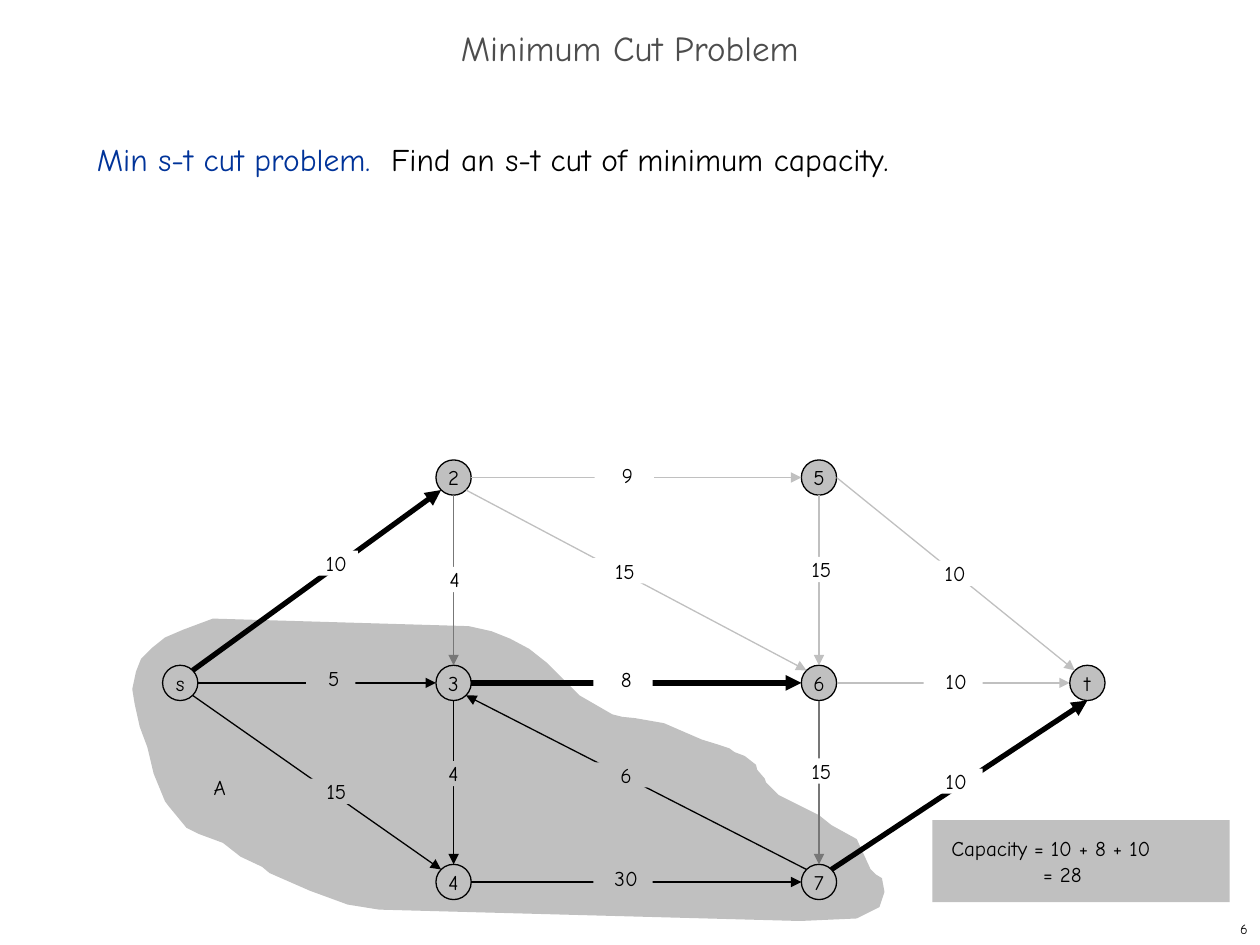
from dataclasses import dataclass

from lxml import etree
from pptx import Presentation
from pptx.dml.color import RGBColor
from pptx.enum.shapes import MSO_CONNECTOR, MSO_SHAPE
from pptx.enum.text import MSO_ANCHOR, PP_ALIGN
from pptx.oxml.ns import qn
from pptx.util import Inches, Pt

LEFT, CENTER, RIGHT = PP_ALIGN.LEFT, PP_ALIGN.CENTER, PP_ALIGN.RIGHT
TOP, MIDDLE = MSO_ANCHOR.TOP, MSO_ANCHOR.MIDDLE
OVAL, RECTANGLE = MSO_SHAPE.OVAL, MSO_SHAPE.RECTANGLE
STRAIGHT = MSO_CONNECTOR.STRAIGHT

SLIDE_WIDTH, SLIDE_HEIGHT = Inches(10), Inches(7.5)
COLUMN, ROW = SLIDE_WIDTH / 100, SLIDE_HEIGHT / 75


@dataclass(frozen=True)
class Theme:
    font: str = "Comic Neue"
    ink: str = "000000"
    title: str = "4D4D4D"
    term: str = "003399"
    gray: str = "C0C0C0"
    dim: str = "777777"
    paper: str = "FFFFFF"
    title_size: float = 20
    body_size: float = 18
    label_size: float = 12
    page_size: float = 8
    thin: float = 0.75
    thick: float = 3


THEME = Theme()


@dataclass(frozen=True)
class Box:
    left: float
    top: float
    width: float
    height: float

    def inner(self, left, top, width, height):
        return Box(self.left + left, self.top + top, width, height)

    def point(self, column, row):
        return round((self.left + column) * COLUMN), round((self.top + row) * ROW)

    def emu(self):
        return *self.point(0, 0), round(self.width * COLUMN), round(self.height * ROW)


@dataclass(frozen=True)
class Edge:
    tail: str
    tail_side: str
    head: str
    head_side: str
    capacity: str
    label_at: tuple
    color: str = THEME.ink
    weight: float = THEME.thin
    label_fill: str = THEME.paper
    label_width: float = 4.7
    label_shift: float = 0.05


NODE_SIZE = 2.8
NODES = {
    "s": (3.8, 17.7),
    "2": (25.5, 1.4),
    "3": (25.5, 17.7),
    "4": (25.5, 33.5),
    "5": (54.5, 1.4),
    "6": (54.5, 17.7),
    "7": (54.5, 33.5),
    "t": (75.8, 17.7),
}
SIDES = {
    "N": (0, -1), "S": (0, 1), "W": (-1, 0), "E": (1, 0),
    "NW": (-0.71, -0.71), "NE": (0.71, -0.71),
    "SW": (-0.71, 0.71), "SE": (0.71, 0.71),
}
FADED = dict(color=THEME.gray)
DIM = dict(color=THEME.dim)
CUT = dict(weight=THEME.thick)
INSIDE = dict(label_fill=THEME.gray)
EDGES = [
    Edge("s", "NE", "2", "SW", "10", (13.2, 7.2), label_shift=0.13, **CUT),
    Edge("s", "E", "3", "W", "5", (13.8, 16.3), label_width=3.9, **INSIDE),
    Edge("s", "SE", "4", "NW", "15", (13.6, 25.3), **INSIDE),
    Edge("3", "E", "6", "W", "8", (36.6, 16.4), **CUT),
    Edge("7", "NW", "3", "SE", "6", (36.6, 24), **INSIDE),
    Edge("3", "S", "4", "N", "4", (22.9, 23.9), **INSIDE),
    Edge("2", "E", "5", "W", "9", (36.7, 0.2), **FADED),
    Edge("4", "E", "7", "W", "30", (36.6, 32.2), **INSIDE),
    Edge("2", "S", "3", "N", "4", (23, 8.5), **DIM),
    Edge("6", "S", "7", "N", "15", (52.1, 23.7), **DIM),
    Edge("5", "S", "6", "N", "15", (52.1, 7.7), **FADED),
    Edge("2", "SE", "6", "NW", "15", (36.5, 7.8), **FADED),
    Edge("5", "E", "t", "NW", "10", (62.3, 8), label_shift=0.13, **FADED),
    Edge("6", "E", "t", "W", "10", (62.8, 16.6), **FADED),
    Edge("7", "NE", "t", "S", "10", (62.8, 24.5), **CUT),
]
CUT_OUTLINE = [
    (50.3, 25.6), (51.3, 26.6), (54.5, 28.2), (55.5, 29), (57.5, 30.1),
    (58.6, 32.5), (59, 32.9), (59.5, 33.2), (59.7, 34.3), (59.3, 35.5),
    (57.5, 36.4), (53, 36.6), (19.6, 35.7), (17.1, 35.3), (14.1, 34.2),
    (10.9, 32.8), (10.3, 32.3), (8.6, 31.5), (7.2, 30.4), (5.3, 29.7),
    (4.3, 29.2), (2.9, 27.5), (2.6, 27.1), (1.7, 24.9), (1.2, 22.8),
    (0.6, 21.2), (0.2, 19.4), (0, 18.2), (0.3, 16.8), (0.7, 15.8),
    (1.6, 14.9), (2.6, 14.1), (4, 13.5), (6.4, 12.6), (26.7, 13.2),
    (28.5, 13.6), (30, 14.2), (31.5, 15), (32.9, 16.1), (34.8, 18),
    (35.5, 18.7), (38.1, 20.2), (38.9, 20.4), (39.9, 20.5), (42.2, 20.9),
    (45.2, 22.2), (46.5, 22.6), (47.4, 22.9), (47.8, 23.2), (48.6, 23.5),
    (49.5, 24.2), (49.6, 24.6), (50.2, 25.3),
]


def rgb(value):
    return RGBColor.from_string(value)


def write_text(shape, paragraphs, size=THEME.label_size, align=CENTER, anchor=TOP,
               insets=(0, 0, 0, 0), spacing=None, indents=()):
    frame = shape.text_frame
    frame.word_wrap = True
    frame.vertical_anchor = anchor
    (frame.margin_left, frame.margin_top,
     frame.margin_right, frame.margin_bottom) = map(Inches, insets)
    for index, runs in enumerate(paragraphs):
        paragraph = frame.add_paragraph() if index else frame.paragraphs[0]
        paragraph.alignment = align
        if spacing:
            paragraph.line_spacing = spacing
        if indents:
            paragraph._p.get_or_add_pPr().set("marL", str(Inches(indents[index])))
        for text, color in runs:
            run = paragraph.add_run()
            run.text = text
            run.font.name = THEME.font
            run.font.size = Pt(size)
            run.font.color.rgb = rgb(color)


def add_text_box(slide, box, runs, **text_format):
    write_text(slide.shapes.add_textbox(*box.emu()), [runs], **text_format)


def add_filled(slide, kind, box, fill, outlined=False):
    shape = slide.shapes.add_shape(kind, *box.emu())
    paint(shape, fill, outlined)
    return shape


def paint(shape, fill, outlined=False):
    shape.shadow.inherit = False
    shape.fill.solid()
    shape.fill.fore_color.rgb = rgb(fill)
    if outlined:
        shape.line.color.rgb = rgb(THEME.ink)
        shape.line.width = Pt(THEME.thin)
    else:
        shape.line.fill.background()


def add_cut_region(slide, box):
    start, *rest = [box.point(*vertex) for vertex in CUT_OUTLINE]
    builder = slide.shapes.build_freeform(*start)
    builder.add_line_segments(rest, close=True)
    paint(builder.convert_to_shape(), THEME.gray)
    add_text_box(slide, box.inner(4, 25, 4.6, 2), [("A", THEME.ink)],
                 insets=(0.13, 0, 0, 0))


def node_side(box, node, side):
    (column, row), (across, down) = NODES[node], SIDES[side]
    return box.point(column + across * NODE_SIZE / 2, row + down * NODE_SIZE / 2)


def add_edge(slide, box, edge):
    arrow = slide.shapes.add_connector(
        STRAIGHT, *node_side(box, edge.tail, edge.tail_side),
        *node_side(box, edge.head, edge.head_side))
    arrow.line.color.rgb = rgb(edge.color)
    arrow.line.width = Pt(edge.weight)
    etree.SubElement(arrow.line._get_or_add_ln(), qn("a:tailEnd"), type="triangle")
    etree.SubElement(arrow._element.spPr, qn("a:effectLst"))


def add_capacity(slide, box, edge):
    label = add_filled(slide, RECTANGLE, box.inner(*edge.label_at, edge.label_width, 2),
                       edge.label_fill)
    write_text(label, [[(edge.capacity, THEME.ink)]],
               insets=(edge.label_shift, 0, 0, 0))


def add_network(slide, box):
    add_cut_region(slide, box)
    for name, (column, row) in NODES.items():
        place = box.inner(column - NODE_SIZE / 2, row - NODE_SIZE / 2, NODE_SIZE, NODE_SIZE)
        node = add_filled(slide, OVAL, place, THEME.gray, outlined=True)
        write_text(node, [[(name, THEME.ink)]], anchor=MIDDLE)
    for add_part in (add_edge, add_capacity):
        for edge in EDGES:
            add_part(slide, box, edge)


def add_cut_total(slide, box):
    panel = add_filled(slide, RECTANGLE, box, THEME.gray)
    write_text(panel, [[("Capacity = 10 + 8 + 10", THEME.ink)], [("= 28", THEME.ink)]],
               align=LEFT, anchor=MIDDLE, insets=(0.15, 0.1, 0.1, 0.1), indents=(0, 0.73))


def add_heading(slide, box):
    add_text_box(slide, box, [("Minimum Cut Problem", THEME.title)],
                 size=THEME.title_size, anchor=MIDDLE, spacing=0.7,
                 insets=(0.1, 0.05, 0.1, 0.05))


def add_statement(slide, box):
    add_text_box(slide, box,
                 [("Min s-t cut problem.  ", THEME.term),
                  ("Find an s-t cut of minimum capacity.", THEME.ink)],
                 size=THEME.body_size, align=LEFT, spacing=Pt(26),
                 insets=(0.1, 0.05, 0.1, 0.05))


def add_page_number(slide, box):
    add_text_box(slide, box, [("6", THEME.ink)], size=THEME.page_size, align=RIGHT,
                 anchor=MIDDLE, insets=(0.1, 0.05, 0.1, 0.05))


def main():
    deck = Presentation()
    deck.slide_width, deck.slide_height = SLIDE_WIDTH, SLIDE_HEIGHT
    slide = deck.slides.add_slide(deck.slide_layouts[6])
    add_page_number(slide, Box(79.2, 72.5, 20.8, 2.5))
    add_statement(slide, Box(6.7, 10, 85.8, 59.2))
    add_heading(slide, Box(0, 1.7, 100, 5))
    add_network(slide, Box(10.5, 36.5, 77.1, 37.3))
    add_cut_total(slide, Box(74, 65.1, 23.6, 6.5))
    deck.save("out.pptx")


if __name__ == "__main__":
    main()
